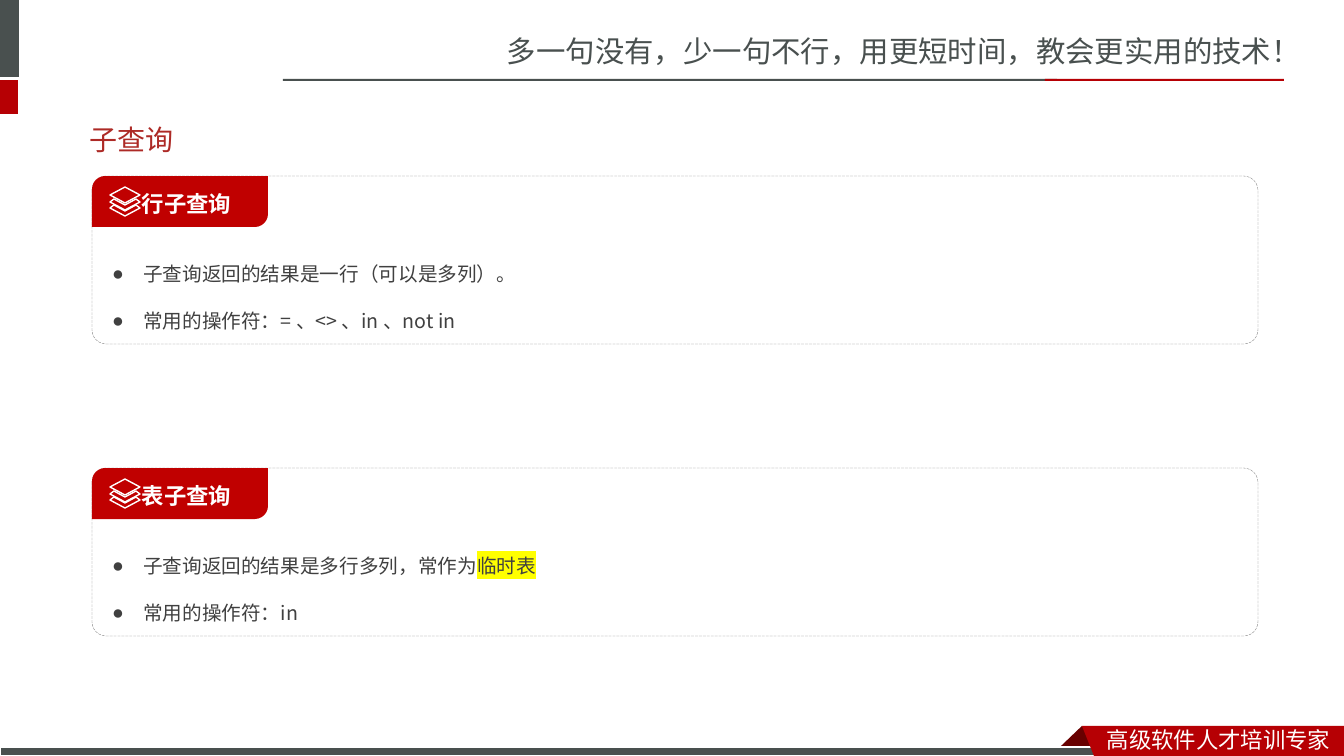
import pptx
import pptx.util
import pptx.dml.color
import pptx.enum.dml
import pptx.enum.shapes
import pptx.enum.text
import pptx.oxml.ns
from lxml import etree

PX = 914400 / 100.8
COLOURS = {
    "slate": "49504F",
    "red": "B60004",
    "fold": "680000",
    "label": "C00000",
    "title": "AD2A26",
    "body": "404040",
    "border": "808080",
    "white": "FFFFFF",
    "highlight": "FFFF00",
}
HEADER_FONT = "Noto Sans CJK SC"
BODY_FONT = "Noto Sans CJK JP"
PANEL_LEFT, PANEL_WIDTH, PANEL_HEIGHT = 92, 1166, 168
LAYERS_ICON = [
    [(33, 11), (48, 19), (33, 27), (18, 19)],
    [(22, 23), (33, 29), (44, 23), (48, 26), (33, 34), (18, 26)],
    [(22, 29), (33, 35), (44, 29), (48, 32), (33, 40), (18, 32)],
]
PANELS = [
    (176, "行子查询", [
        [("子查询返回的结果是一行（可以是多列）。", False)],
        [("常用的操作符：= 、<> 、in 、not in", False)],
    ]),
    (468, "表子查询", [
        [("子查询返回的结果是多行多列，常作为", False), ("临时表", True)],
        [("常用的操作符：in", False)],
    ]),
]


def px(length):
    return pptx.util.Emu(round(length * PX))


def colour(name):
    return pptx.dml.color.RGBColor.from_string(COLOURS[name])


def add_child(parent, tag, **attributes):
    return etree.SubElement(parent, pptx.oxml.ns.qn(tag), attributes)


def format_run(run, size, name, font, east_asian=None, bold=False):
    run.font.size = pptx.util.Pt(size)
    run.font.bold = bold
    run.font.color.rgb = colour(name)
    run.font.name = font
    latin = run.font._element.find(pptx.oxml.ns.qn("a:latin"))
    east = etree.Element(pptx.oxml.ns.qn("a:ea"), typeface=east_asian or font)
    latin.addnext(east)


def highlight_run(run):
    highlight = etree.Element(pptx.oxml.ns.qn("a:highlight"))
    add_child(highlight, "a:srgbClr", val=COLOURS["highlight"])
    run.font._element.find(pptx.oxml.ns.qn("a:solidFill")).addnext(highlight)


def set_frame(frame, left, top, right, bottom, anchor):
    frame.word_wrap = True
    frame.margin_left, frame.margin_top = px(left), px(top)
    frame.margin_right, frame.margin_bottom = px(right), px(bottom)
    frame.vertical_anchor = anchor


def paint(shape, fill=None, line=None, width=0.75):
    shape.shadow.inherit = False
    if fill:
        shape.fill.solid()
        shape.fill.fore_color.rgb = colour(fill)
    else:
        shape.fill.background()
    if line:
        shape.line.color.rgb = colour(line)
        shape.line.width = pptx.util.Pt(width)
    else:
        shape.line.fill.background()


def add_block(slide, kind, box, fill=None, line=None, width=0.75):
    shape = slide.shapes.add_shape(kind, *map(px, box))
    paint(shape, fill, line, width)
    return shape


def add_outline(slide, contours, fill=None, line=None, width=0.75):
    builder = slide.shapes.build_freeform(*contours[0][0], scale=PX)
    builder.add_line_segments(contours[0][1:], close=True)
    for contour in contours[1:]:
        builder.move_to(*contour[0])
        builder.add_line_segments(contour[1:], close=True)
    paint(builder.convert_to_shape(), fill, line, width)


def add_caption(slide, box, text, size, name):
    frame = slide.shapes.add_textbox(*map(px, box)).text_frame
    frame.word_wrap = True
    frame.text = text
    format_run(frame.paragraphs[0].runs[0], size, name, HEADER_FONT)


def add_frame_art(slide):
    rectangle = pptx.enum.shapes.MSO_SHAPE.RECTANGLE
    add_caption(slide, (497, 28, 847, 47),
                "多一句没有，少一句不行，用更短时间，教会更实用的技术！", 21, "slate")
    for box, fill in [
        ((0, 0, 19, 77), "slate"),
        ((0, 80, 18, 34), "red"),
        ((283, 79, 774, 2), "slate"),
        ((1045, 79, 239, 2), "red"),
    ]:
        add_block(slide, rectangle, box, fill)
    add_outline(slide, [[(1082, 726), (1104, 748), (1103, 749),
                         (1060, 749), (1059, 748)]], "fold")
    add_block(slide, rectangle, (0, 747, 1107, 9), "slate", "white")
    add_outline(slide, [[(1082, 726), (1344, 726), (1344, 756), (1094, 756)]], "red")
    add_caption(slide, (1097, 721, 247, 37), "高级软件人才培训专家", 16, "white")


def add_title(slide, text):
    title = slide.shapes.title
    title.left, title.top, title.width, title.height = map(px, (79, 111, 1179, 57))
    frame = title.text_frame
    frame.text = text
    frame.auto_size = pptx.enum.text.MSO_AUTO_SIZE.NONE
    frame.vertical_anchor = pptx.enum.text.MSO_ANCHOR.MIDDLE
    frame.paragraphs[0].alignment = pptx.enum.text.PP_ALIGN.LEFT
    format_run(frame.paragraphs[0].runs[0], 20, "title", "Calibri", HEADER_FONT)


def add_bullet(paragraph, pieces):
    paragraph.alignment = pptx.enum.text.PP_ALIGN.LEFT
    paragraph.line_spacing = pptx.util.Pt(33.6)
    properties = paragraph._p.get_or_add_pPr()
    properties.set("marL", str(px(31)))
    properties.set("indent", str(-px(31)))
    add_child(properties, "a:buFont", typeface="Arial")
    add_child(properties, "a:buChar", char="●")
    for text, highlighted in pieces:
        run = paragraph.add_run()
        run.text = text
        format_run(run, 14, "body", BODY_FONT)
        if highlighted:
            highlight_run(run)


def add_panel(slide, top, heading, bullets):
    shapes = pptx.enum.shapes.MSO_SHAPE
    anchors = pptx.enum.text.MSO_ANCHOR
    panel = add_block(slide, shapes.ROUNDED_RECTANGLE,
                      (PANEL_LEFT, top, PANEL_WIDTH, PANEL_HEIGHT),
                      line="border", width=0.25)
    panel.adjustments[0] = 0.085
    panel.line.dash_style = pptx.enum.dml.MSO_LINE.LONG_DASH
    frame = panel.text_frame
    set_frame(frame, 16, 58, 8, 8, anchors.TOP)
    for index, pieces in enumerate(bullets):
        paragraph = frame.add_paragraph() if index else frame.paragraphs[0]
        add_bullet(paragraph, pieces)

    label = add_block(slide, shapes.ROUND_2_DIAG_RECTANGLE,
                      (PANEL_LEFT, top, 176, 51), "label")
    label.adjustments[0] = 0.258
    label.adjustments[1] = 0
    frame = label.text_frame
    set_frame(frame, 46, 4, 4, 0, anchors.MIDDLE)
    frame.text = heading
    frame.paragraphs[0].alignment = pptx.enum.text.PP_ALIGN.LEFT
    format_run(frame.paragraphs[0].runs[0], 16, "white", BODY_FONT, bold=True)

    icon = [[(PANEL_LEFT + x, top + y) for x, y in layer] for layer in LAYERS_ICON]
    add_outline(slide, icon, line="white", width=1)


def main():
    presentation = pptx.Presentation()
    presentation.slide_width, presentation.slide_height = px(1344), px(756)
    slide = presentation.slides.add_slide(presentation.slide_layouts[5])
    add_frame_art(slide)
    add_title(slide, "子查询")
    for top, heading, bullets in PANELS:
        add_panel(slide, top, heading, bullets)
    presentation.save("out.pptx")


if __name__ == "__main__":
    main()
